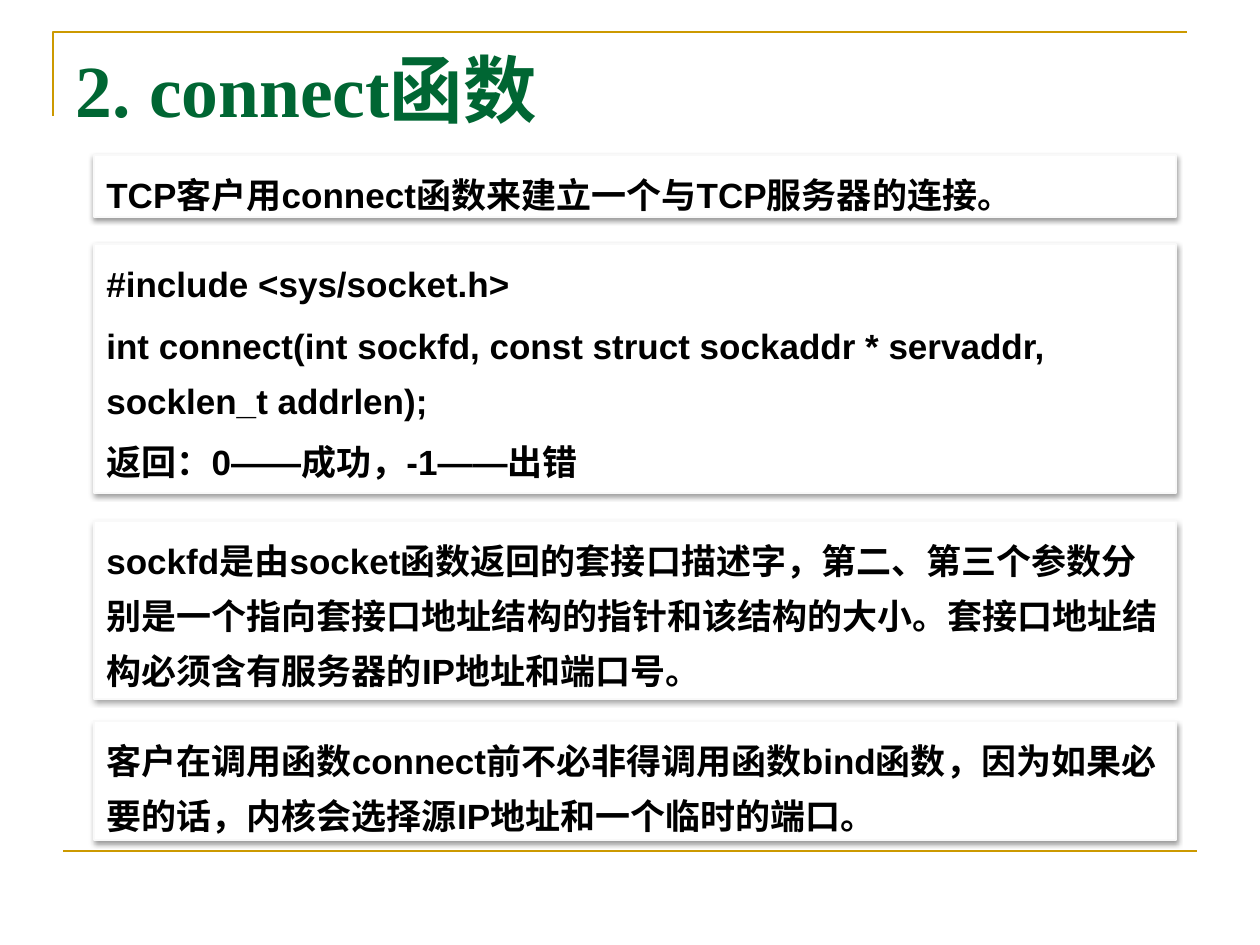
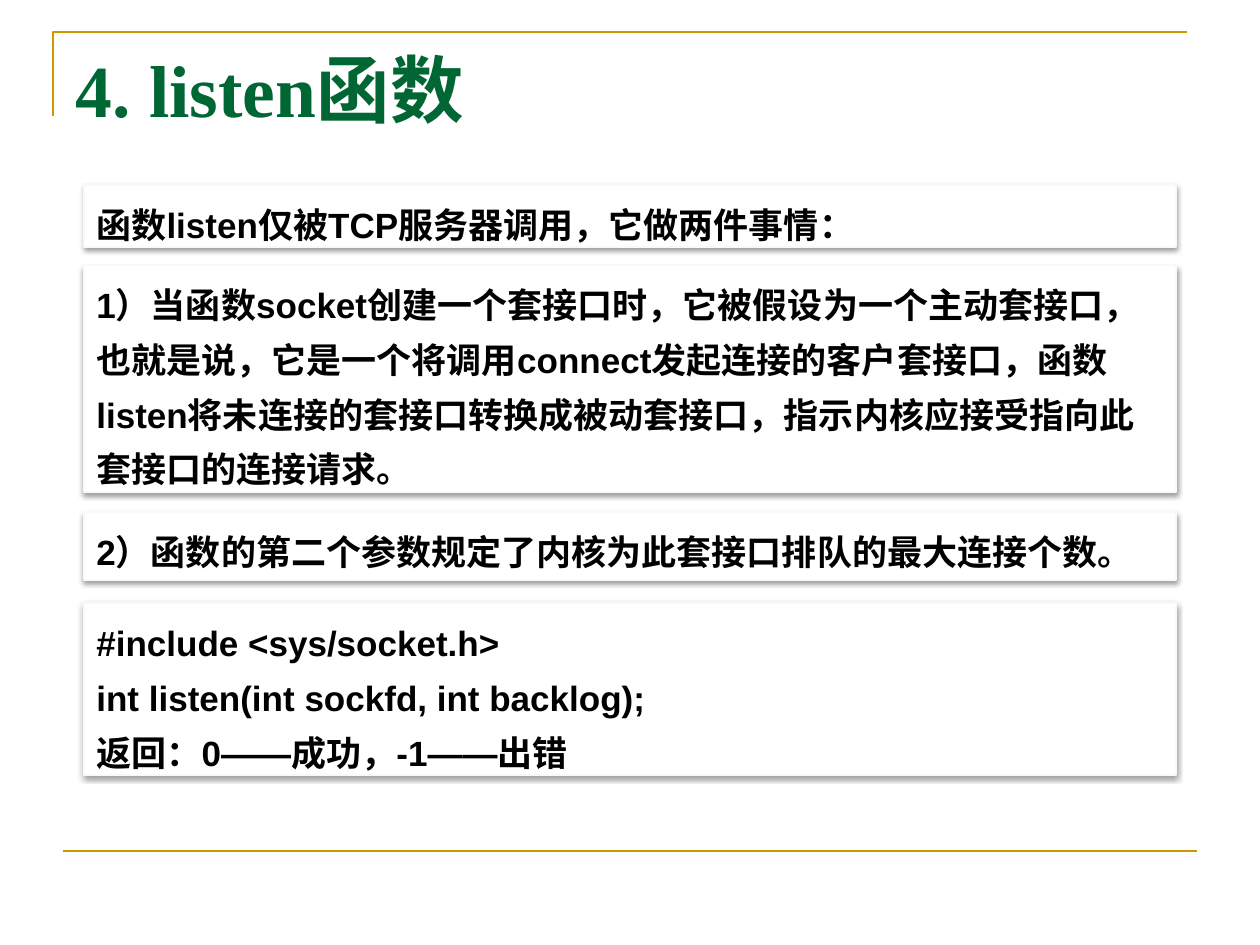
from lxml import etree
from pptx import Presentation
from pptx.dml.color import RGBColor
from pptx.enum.shapes import MSO_CONNECTOR, MSO_SHAPE
from pptx.enum.text import MSO_ANCHOR, MSO_AUTO_SIZE, PP_ALIGN
from pptx.oxml import parse_xml
from pptx.oxml.ns import qn
from pptx.util import Emu, Pt

RECT = MSO_SHAPE.RECTANGLE
STRAIGHT = MSO_CONNECTOR.STRAIGHT
TOP = MSO_ANCHOR.TOP
LEFT = PP_ALIGN.LEFT
NO_FIT = MSO_AUTO_SIZE.NONE

SCALE = 914400 / 126
TITLE_ONLY = 5
COLORS = {
    "gold": "CC9900",
    "green": "006633",
    "text": "000000",
    "box": "FFFFFF",
    "edge": "F9F9F9",
}
TITLE_FONT = {"name": "Times New Roman", "size": Pt(42), "bold": True}
BODY_FONT = {"name": "Arial", "size": Pt(20), "bold": True}
FRAME_FORMAT = {"word_wrap": True, "auto_size": NO_FIT, "vertical_anchor": TOP}
SHADOW = (
    '<a:outerShdw xmlns:a="http://schemas.openxmlformats.org/drawingml/2006/main"'
    ' blurRad="40000" dist="20000" dir="5400000" rotWithShape="0">'
    '<a:srgbClr val="000000"><a:alpha val="38000"/></a:srgbClr></a:outerShdw>'
)

INCLUDE = "#include <sys/socket.h>"
RETURNS = "返回：0——成功，-1——出错"

CONNECT_BOXES = [
    (155, 62, ["TCP客户用connect函数来建立一个与TCP服务器的连接。"]),
    (244, 249, [
        INCLUDE,
        "int connect(int sockfd, const struct sockaddr * servaddr, socklen_t addrlen);",
        RETURNS,
    ]),
    (521, 178, [
        "sockfd是由socket函数返回的套接口描述字，第二、第三个参数分别是一个指向"
        "套接口地址结构的指针和该结构的大小。套接口地址结构必须含有服务器的IP地址和端口号。"
    ]),
    (721, 119, [
        "客户在调用函数connect前不必非得调用函数bind函数，因为如果必要的话，"
        "内核会选择源IP地址和一个临时的端口。"
    ]),
]
LISTEN_BOXES = [
    (185, 62, ["函数listen仅被TCP服务器调用，它做两件事情："]),
    (265, 227, [
        "1）当函数socket创建一个套接口时，它被假设为一个主动套接口，也就是说，"
        "它是一个将调用connect发起连接的客户套接口，函数listen将未连接的套接口"
        "转换成被动套接口，指示内核应接受指向此套接口的连接请求。"
    ]),
    (512, 68, ["2）函数的第二个参数规定了内核为此套接口排队的最大连接个数。"]),
    (603, 172, [INCLUDE, "int listen(int sockfd, int backlog);", RETURNS]),
]


def px(n):
    return Emu(round(n * SCALE))


def rgb(name):
    return RGBColor.from_string(COLORS[name])


def apply(target, values):
    for key, value in values.items():
        setattr(target, key, value)


def set_font(font, values, color):
    apply(font, values)
    font.color.rgb = rgb(color)


def set_line(shape, color, width):
    shape.line.color.rgb = rgb(color)
    shape.line.width = Pt(width)


def add_frame_lines(layout, slide):
    builder = slide.shapes.build_freeform(53, 116, scale=SCALE)
    builder.add_line_segments([(53, 32), (1187, 32)], close=False)
    corner = builder.convert_to_shape()
    corner.fill.background()
    corner.shadow.inherit = False
    rule = slide.shapes.add_connector(STRAIGHT, px(63), px(851), px(1197), px(851))
    etree.SubElement(rule.element.spPr, qn("a:effectLst"))
    for shape in (corner, rule):
        set_line(shape, "gold", 1.5)
        if shape is rule:
            effects = rule.element.spPr.find(qn("a:effectLst"))
            rule.element.spPr.append(effects)
        layout.shapes.element.append(shape.element)


def set_title(slide, text):
    title = slide.shapes.title
    apply(title, {"left": px(63), "top": px(38), "width": px(1043), "height": px(158)})
    tf = title.text_frame
    apply(tf, FRAME_FORMAT)
    p = tf.paragraphs[0]
    p.alignment = LEFT
    r = p.add_run()
    r.text = text
    set_font(r.font, TITLE_FONT, "green")


def add_text_box(slide, left, top, width, height, lines, gap):
    sp = slide.shapes.add_shape(RECT, px(left), px(top), px(width), px(height))
    sp.fill.solid()
    sp.fill.fore_color.rgb = rgb("box")
    set_line(sp, "edge", 0.75)
    sp.shadow.inherit = False
    sp.element.spPr.find(qn("a:effectLst")).append(parse_xml(SHADOW))
    tf = sp.text_frame
    apply(tf, FRAME_FORMAT)
    for i, line in enumerate(lines):
        p = tf.add_paragraph() if i else tf.paragraphs[0]
        apply(p, {"alignment": LEFT, "line_spacing": 1.3, "space_before": Pt(gap if i else 0)})
        r = p.add_run()
        r.text = line
        set_font(r.font, BODY_FONT, "text")


def add_function_slide(prs, layout, title, left, width, boxes, gap):
    slide = prs.slides.add_slide(layout)
    set_title(slide, title)
    for top, height, lines in boxes:
        add_text_box(slide, left, top, width, height, lines, gap)
    return slide


def main():
    prs = Presentation()
    apply(prs, {"slide_width": px(1260), "slide_height": px(945)})
    layout = prs.slide_layouts[TITLE_ONLY]
    first = add_function_slide(prs, layout, "2. connect函数", 94, 1082, CONNECT_BOXES, 4)
    add_frame_lines(layout, first)
    add_function_slide(prs, layout, "4. listen函数", 84, 1092, LISTEN_BOXES, 0)
    prs.save("out.pptx")


if __name__ == "__main__":
    main()
